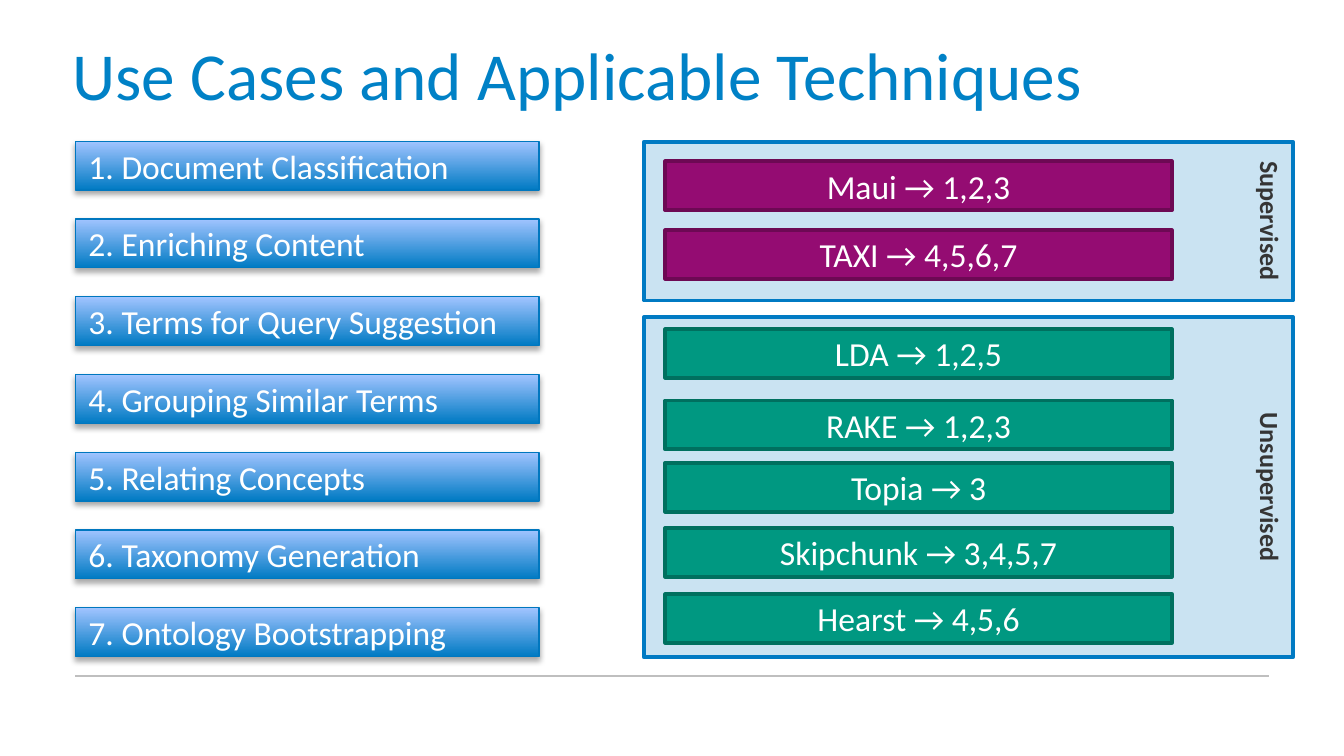
from dataclasses import dataclass

from lxml import etree
from pptx import Presentation
from pptx.dml.color import RGBColor
from pptx.enum.shapes import MSO_CONNECTOR, MSO_SHAPE
from pptx.enum.text import MSO_ANCHOR, PP_ALIGN
from pptx.oxml.ns import qn
from pptx.util import Inches, Pt

RECTANGLE = MSO_SHAPE.RECTANGLE
STRAIGHT = MSO_CONNECTOR.STRAIGHT
TOP, MIDDLE = MSO_ANCHOR.TOP, MSO_ANCHOR.MIDDLE
LEFT, CENTER = PP_ALIGN.LEFT, PP_ALIGN.CENTER

SLIDE_W = Inches(10)
SLIDE_H = SLIDE_W * 9 // 16
COL, ROW = SLIDE_W / 100, SLIDE_H / 100  # the grid is 100 by 100
BAR_H = 6.45 * ROW
TECHNIQUE_INSET, TECHNIQUE_W = 1.6 * COL, 37.7 * COL


@dataclass(frozen=True)
class Theme:
    font: str = "Calibri"
    title_size: int = 36
    bar_size: int = 18
    label_size: int = 14
    title: str = "0081C6"
    white: str = "FFFFFF"
    label: str = "353535"
    rule: str = "BFBFBF"
    panel: tuple = ("CAE3F2", "007AC3")  # fill, line
    supervised: tuple = ("940C72", "6D0954")
    unsupervised: tuple = ("009881", "00705F")
    case_gradient: tuple = ("007AC3", "A1C4FF")  # bottom, top
    case_line: str = "0077BF"
    shadow: str = "000000"


THEME = Theme()

USE_CASES = [
    "Document Classification",
    "Enriching Content",
    "Terms for Query Suggestion",
    "Grouping Similar Terms",
    "Relating Concepts",
    "Taxonomy Generation",
    "Ontology Bootstrapping",
]
# Technique, use cases it serves, rows below the top of its panel
SUPERVISED = [("Maui", "1,2,3", 2.6), ("TAXI", "4,5,6,7", 11.7)]
UNSUPERVISED = [
    ("LDA", "1,2,5", 1.6),
    ("RAKE", "1,2,3", 11.05),
    ("Topia", "3", 19.3),
    ("Skipchunk", "3,4,5,7", 27.9),
    ("Hearst", "4,5,6", 36.65),
]


@dataclass(frozen=True)
class Box:
    left: float
    top: float
    width: float
    height: float

    def emu(self):
        return [round(v) for v in (self.left, self.top, self.width, self.height)]

    def turned(self):
        """The box that covers this one after a quarter turn about its centre."""
        shift = (self.width - self.height) / 2
        return Box(self.left + shift, self.top - shift, self.height, self.width)


def area(col, row, cols, rows):
    return Box(col * COL, row * ROW, cols * COL, rows * ROW)


def rgb(value):
    return RGBColor.from_string(value)


def write(shape, text, size, color, align=CENTER, anchor=MIDDLE, bold=False):
    frame = shape.text_frame
    frame.word_wrap = True
    frame.vertical_anchor = anchor
    paragraph = frame.paragraphs[0]
    paragraph.alignment = align
    run = paragraph.add_run()
    run.text = text
    values = {"name": THEME.font, "size": Pt(size), "bold": bold}
    for key, value in values.items():
        setattr(run.font, key, value)
    run.font.color.rgb = rgb(color)


def add_rectangle(slide, box, line, weight, fill=None):
    shape = slide.shapes.add_shape(RECTANGLE, *box.emu())
    shape.shadow.inherit = False
    shape.line.color.rgb = rgb(line)
    shape.line.width = Pt(weight)
    if fill:
        shape.fill.solid()
        shape.fill.fore_color.rgb = rgb(fill)
    return shape


def shade(shape):
    """Give a use case its vertical gradient and soft drop shadow."""
    shape.fill.gradient()
    shape.fill.gradient_angle = 90
    for stop, color in zip(shape.fill.gradient_stops, THEME.case_gradient):
        stop.color.rgb = rgb(color)
    effects = shape.element.spPr.find(qn("a:effectLst"))
    outer = etree.SubElement(
        effects, qn("a:outerShdw"), blurRad=str(Pt(3.1)), dist=str(Pt(1.8)),
        dir="5400000", rotWithShape="0")
    color = etree.SubElement(outer, qn("a:srgbClr"), val=THEME.shadow)
    etree.SubElement(color, qn("a:alpha"), val="35000")


def add_title(slide, box, text):
    title = slide.shapes.add_textbox(*box.emu())
    write(title, text, THEME.title_size, THEME.title, LEFT)


def add_footer_rule(slide, box):
    left, top, width, _ = box.emu()
    rule = slide.shapes.add_connector(STRAIGHT, left, top, left + width, top)
    rule.line.color.rgb = rgb(THEME.rule)
    rule.line.width = Pt(1)
    etree.SubElement(rule._element.spPr, qn("a:effectLst"))


def add_use_cases(slide, box, cases):
    pitch = (box.height - BAR_H) / (len(cases) - 1)
    for index, case in enumerate(cases):
        bar_box = Box(box.left, box.top + index * pitch, box.width, BAR_H)
        bar = add_rectangle(slide, bar_box, THEME.case_line, 0.75)
        shade(bar)
        write(bar, f"{index + 1}. {case}", THEME.bar_size, THEME.white, LEFT)


def add_technique_panel(slide, box, label, techniques, colors):
    """Draw a panel with its label turned along the right edge, and its bars."""
    fill, line = THEME.panel
    panel = add_rectangle(slide, box.turned(), line, 2, fill)
    panel.rotation = 90
    write(panel, label, THEME.label_size, THEME.label, anchor=TOP, bold=True)
    fill, line = colors
    for name, served, row in techniques:
        bar_box = Box(box.left + TECHNIQUE_INSET, box.top + row * ROW,
                      TECHNIQUE_W, BAR_H)
        bar = add_rectangle(slide, bar_box, line, 2, fill)
        write(bar, f"{name} → {served}", THEME.bar_size, THEME.white)


def main():
    deck = Presentation()
    deck.slide_width, deck.slide_height = SLIDE_W, SLIDE_H
    slide = deck.slides.add_slide(deck.slide_layouts[6])
    add_footer_rule(slide, area(5.6, 89.4, 88.8, 0))
    add_title(slide, area(4.4, 1.42, 91.8, 16.73),
              "Use Cases and Applicable Techniques")
    add_technique_panel(slide, area(47.9, 41.95, 48.3, 45), "Unsupervised",
                        UNSUPERVISED, THEME.unsupervised)
    add_technique_panel(slide, area(47.9, 18.75, 48.3, 21), "Supervised",
                        SUPERVISED, THEME.supervised)
    add_use_cases(slide, area(5.6, 18.7, 34.5, 68.15), USE_CASES)
    deck.save("out.pptx")


if __name__ == "__main__":
    main()
